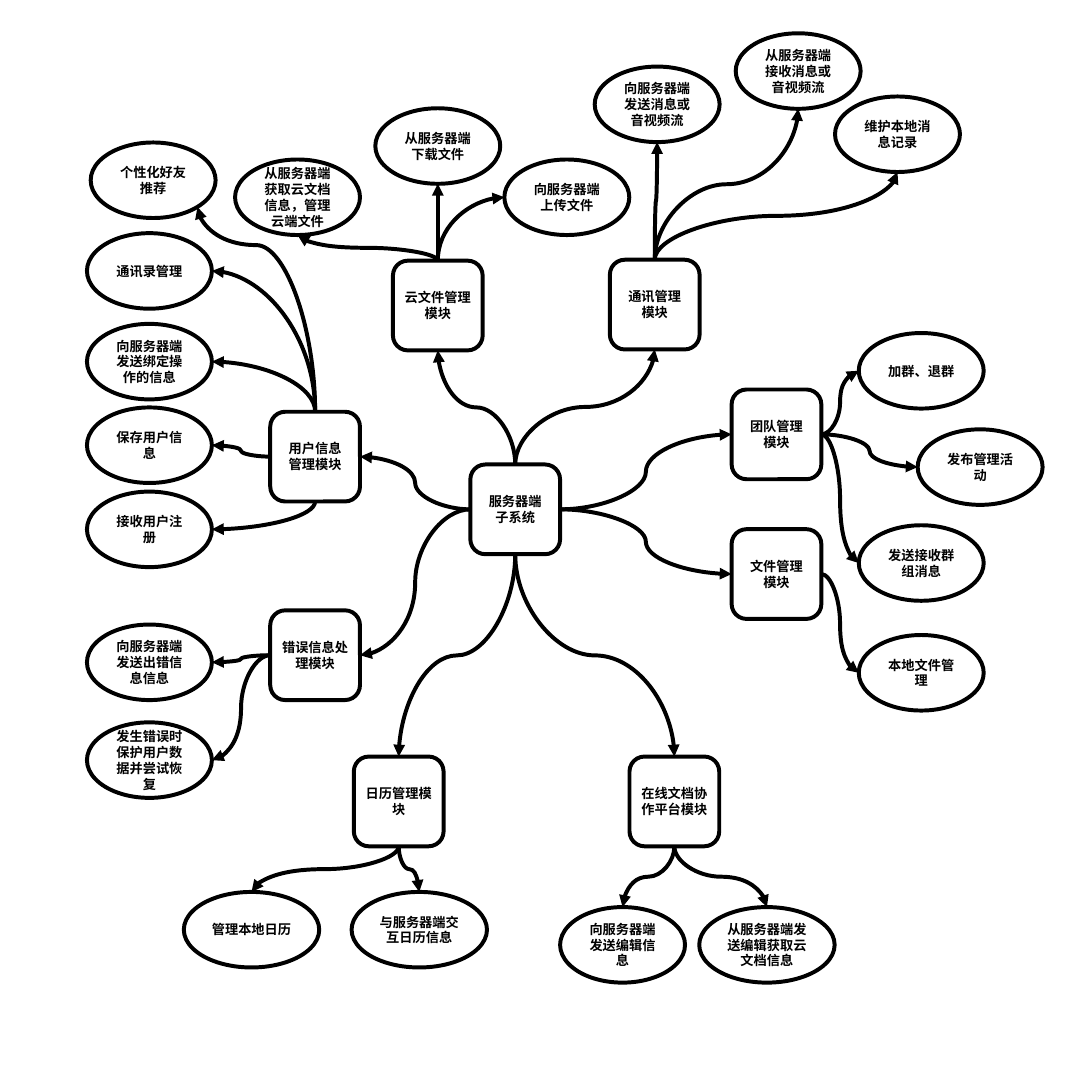
from lxml import etree
from pptx import Presentation
from pptx import util as u
from pptx.dml.color import RGBColor
from pptx.enum import shapes, text
from pptx.oxml.ns import qn

# Content: places in cm as left, top
COLORS = {"ink": "000000", "paper": "FFFFFF"}
FONT = "Noto Sans CJK SC"
SLIDE = (58.39, 57.81)
BOX, OVAL, WIDE_OVAL = (4.8, 4.8), (6.68, 4.04), (7.24, 4.04)

HUB = ("服务器端\n子系统", 25.15, 24.84)
# Module: text, left, top, side of the hub it leaves from, oval size, topics
# Topic: text, left, top, side of the module, side of the oval
MODULES = [
    ("用户信息\n管理模块", 14.45, 22.02, "left", OVAL, [
        ("个性化好友推荐", 4.85, 7.62, "top", "bottom right"),
        ("通讯录管理", 4.65, 12.47, "top", "right"),
        ("向服务器端发送绑定操作的信息", 4.65, 17.32, "top", "right"),
        ("保存用户信息", 4.65, 21.79, "left", "right"),
        ("接收用户注册", 4.65, 26.29, "bottom", "right")]),
    ("通讯管理\n模块", 32.61, 13.89, "top", OVAL, [
        ("向服务器端发送消息或音视频流", 31.8, 3.56, "top", "bottom"),
        ("从服务器端接收消息或音视频流", 39.34, 1.78, "top", "bottom"),
        ("维护本地消息记录", 44.65, 5.16, "top", "bottom")]),
    ("团队管理\n模块", 39.12, 20.83, "right", OVAL, [
        ("加群、退群", 45.92, 17.81, "right", "left"),
        ("发布管理活动", 49.07, 22.96, "right", "left"),
        ("发送接收群组消息", 45.92, 28.09, "right", "left")]),
    ("文件管理\n模块", 39.12, 28.3, "right", OVAL, [
        ("本地文件管理", 45.92, 33.96, "right", "left")]),
    ("云文件管理\n模块", 21.01, 13.94, "top", OVAL, [
        ("从服务器端获取云文档信息，管理云端文件", 12.57, 8.53, "top", "bottom"),
        ("从服务器端下载文件", 20.07, 5.79, "top", "bottom"),
        ("向服务器端上传文件", 26.97, 8.53, "top", "left")]),
    ("在线文档协作平台模块", 33.66, 40.46, "bottom", OVAL, [
        ("向服务器端发送编辑信息", 29.95, 48.51, "bottom", "top")]),
    ("日历管理模块", 18.92, 40.46, "bottom", WIDE_OVAL, [
        ("管理本地日历", 9.83, 47.7, "bottom", "top"),
        ("与服务器端交互日历信息", 18.8, 47.7, "bottom", "top")]),
    ("错误信息处理模块", 14.45, 32.64, "left", OVAL, [
        ("向服务器端发送出错信息信息", 4.65, 33.4, "left", "right"),
        ("发生错误时保护用户数据并尝试恢复", 4.65, 38.63, "left", "right")]),
]
WIDE_TOPIC = ("从服务器端发送编辑获取云文档信息", 37.39, 48.51, "bottom", "top")
WIDE_PARENT = "在线文档协作平台模块"

# Sides: offset from the centre in half sizes, box site, oval site
SIDES = {
    "top": (0, -1, 0, 0), "left": (-1, 0, 1, 2), "bottom": (0, 1, 2, 4),
    "right": (1, 0, 3, 6), "bottom right": (0.71, 0.71, None, 5),
}
OPPOSITE = {"top": "bottom", "bottom": "top", "left": "right", "right": "left"}
CORNER_BEND = 81400

deck = Presentation()
deck.slide_width, deck.slide_height = map(u.Cm, SLIDE)
page = deck.slides.add_slide(deck.slide_layouts[6])


def color(name):
    return RGBColor.from_string(COLORS[name])


def add_node(kind, size, words, left, top):
    node = page.shapes.add_shape(kind, *map(u.Cm, (left, top, *size)))
    node.shadow.inherit = False
    node.fill.solid()
    node.fill.fore_color.rgb = color("paper")
    node.line.color.rgb = color("ink")
    node.line.width = u.Pt(6)
    frame = node.text_frame
    frame.word_wrap = True
    frame.vertical_anchor = text.MSO_ANCHOR.MIDDLE
    frame.text = words
    for para in frame.paragraphs:
        para.alignment = text.PP_ALIGN.CENTER
        font = para.font
        font.name, font.size, font.bold = FONT, u.Pt(20), True
        font.color.rgb = color("ink")
        for span in para.runs:
            etree.SubElement(span.font._element, qn("a:ea"), typeface=FONT)
    return node


def add_box(words, left, top):
    return add_node(shapes.MSO_SHAPE.ROUNDED_RECTANGLE, BOX, words, left, top)


def anchor(node, side):
    across, down = SIDES[side][:2]
    return (int(node.left + node.width * (1 + across) / 2),
            int(node.top + node.height * (1 + down) / 2))


def add_link(source, exit_side, target, entry_side):
    x1, y1 = anchor(source, exit_side)
    x2, y2 = anchor(target, entry_side)
    link = page.shapes.add_connector(shapes.MSO_CONNECTOR.CURVE, x1, y1, x2, y2)

    # Glue both ends
    glue = link._element.nvCxnSpPr.cNvCxnSpPr
    for tag, node, side in (("a:stCxn", source, exit_side), ("a:endCxn", target, entry_side)):
        is_oval = node.auto_shape_type == shapes.MSO_SHAPE.OVAL
        site = SIDES[side][3 if is_oval else 2]
        etree.SubElement(glue, qn(tag), id=str(node.shape_id), idx=str(site))

    # Turn the curve so that it leaves along the exit side
    upright = exit_side in ("top", "bottom")
    run, rise = x2 - x1, y2 - y1
    width, height = abs(run), abs(rise)
    if upright:
        width, height = height, width
        turn = 90 if (run > 0) == (rise < 0) else 270
        flip_h, flip_v = run > 0, rise < 0
    else:
        turn = 180 if run < 0 else 0
        flip_h, flip_v = False, (run < 0) == (rise > 0)
    link.left, link.top = (x1 + x2 - width) // 2, (y1 + y2 - height) // 2
    link.width, link.height = width, height
    link.rotation = turn
    properties = link._element.spPr
    frame = properties.find(qn("a:xfrm"))
    frame.set("flipH", str(int(flip_h)))
    frame.set("flipV", str(int(flip_v)))

    # Bend
    preset = properties.find(qn("a:prstGeom"))
    if upright and entry_side in ("left", "right"):
        preset.set("prst", "curvedConnector2")
    elif entry_side == "bottom right":
        guides = preset.find(qn("a:avLst"))
        etree.SubElement(guides, qn("a:gd"), name="adj1", fmla=f"val {CORNER_BEND}")

    # Line and arrowhead
    link.line.color.rgb = color("ink")
    link.line.width = u.Pt(6)
    etree.SubElement(link.line._get_or_add_ln(), qn("a:tailEnd"), type="triangle")
    etree.SubElement(properties, qn("a:effectLst"))


# Nodes first, then the links above them
hub = add_box(*HUB)
links = []
for words, left, top, hub_side, oval_size, topics in MODULES:
    module = add_box(words, left, top)
    links.append((hub, hub_side, module, OPPOSITE[hub_side]))
    sized_topics = [(oval_size, topic) for topic in topics]
    if words == WIDE_PARENT:
        sized_topics.append((WIDE_OVAL, WIDE_TOPIC))
    for size, (label, x, y, exit_side, entry_side) in sized_topics:
        oval = add_node(shapes.MSO_SHAPE.OVAL, size, label, x, y)
        links.append((module, exit_side, oval, entry_side))

for link in links:
    add_link(*link)

deck.save("out.pptx")
